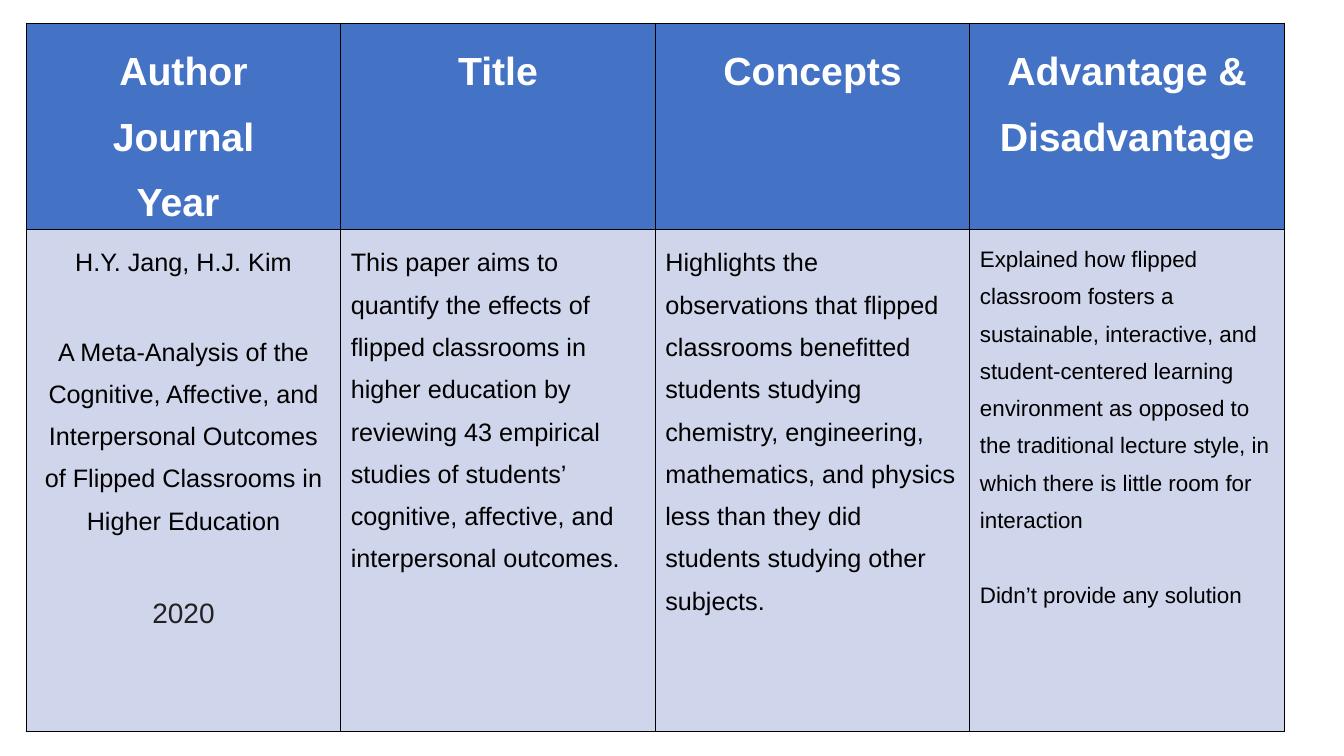
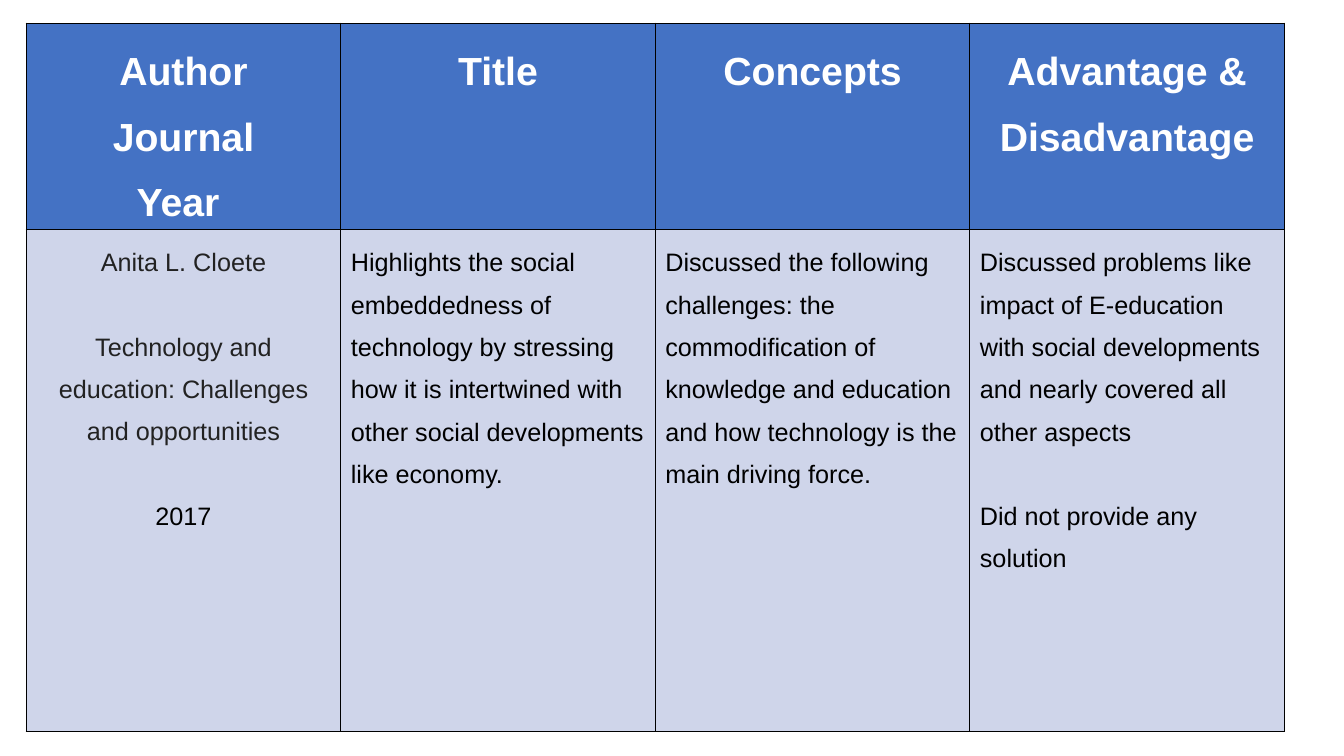
import dataclasses

import lxml.etree
import pptx
import pptx.dml.color
import pptx.enum.text
import pptx.oxml.ns
import pptx.util

Inches = pptx.util.Inches
Pt = pptx.util.Pt
qn = pptx.oxml.ns.qn

COLORS = {
    "header": "4472C4",
    "body": "CFD5EA",
    "line": "000000",
    "white": "FFFFFF",
    "black": "000000",
    "gray": "222222",
}
COLUMNS = 4
COLUMN_WIDTH = 3.12
ROW_HEIGHTS = (1.94, 4.98)
LINE_SPACING = 1.5
CENTER = pptx.enum.text.PP_ALIGN.CENTER
LEFT = pptx.enum.text.PP_ALIGN.LEFT


@dataclasses.dataclass(frozen=True)
class Para:
    text: str
    size: float = 18
    color: str = "black"
    before: float = 0


@dataclasses.dataclass(frozen=True)
class Review:
    source: list[Para]
    title: list[Para]
    concepts: list[Para]
    verdict: list[Para]


HEADERS = [["Author", "Journal", "Year "], ["Title"], ["Concepts"], ["Advantage &", "Disadvantage"]]

REVIEWS = [
    Review(
        source=[
            Para("H.Y. Jang, H.J. Kim"),
            Para(
                "A Meta-Analysis of the Cognitive, Affective, and Interpersonal Outcomes "
                "of Flipped Classrooms in Higher Education",
                before=33.5,
            ),
            Para("2020", size=20, color="gray", before=33.5),
        ],
        title=[
            Para(
                "This paper aims to quantify the effects of flipped classrooms in higher education "
                "by reviewing 43 empirical studies of students’ cognitive, affective, and "
                "interpersonal outcomes."
            )
        ],
        concepts=[
            Para(
                "Highlights the observations that flipped classrooms benefitted students studying "
                "chemistry, engineering, mathematics, and physics less than they did students "
                "studying other subjects."
            )
        ],
        verdict=[
            Para(
                "Explained how flipped classroom fosters a sustainable, interactive, and "
                "student-centered learning environment as opposed to the traditional lecture style, "
                "in which there is little room for interaction",
                size=16,
            ),
            Para("Didn’t provide any solution", size=16, before=26.5),
        ],
    ),
    Review(
        source=[
            Para("Anita L. Cloete", color="gray"),
            Para("Technology and education: Challenges and opportunities", color="gray", before=30),
            Para("2017", before=30),
        ],
        title=[
            Para(
                "Highlights the social embeddedness of technology by stressing how it is "
                "intertwined with other social developments like economy."
            )
        ],
        concepts=[
            Para("Discussed the following"),
            Para(
                "challenges: the commodification of knowledge and education and how technology "
                "is the main driving force."
            ),
        ],
        verdict=[
            Para(
                "Discussed problems like impact of E-education with social developments and "
                "nearly covered all other aspects"
            ),
            Para("Did not provide any solution", before=30),
        ],
    ),
]


def rgb(name: str) -> pptx.dml.color.RGBColor:
    return pptx.dml.color.RGBColor.from_string(COLORS[name])


def set_all(target: object, values: dict[str, object]) -> None:
    for name, value in values.items():
        setattr(target, name, value)


def add_borders(cell: pptx.table._Cell) -> None:
    tc_pr = cell._tc.get_or_add_tcPr()
    for i, side in enumerate(("lnL", "lnR", "lnT", "lnB")):
        ln = lxml.etree.Element(qn(f"a:{side}"), w=str(Pt(1)))
        fill = lxml.etree.SubElement(ln, qn("a:solidFill"))
        lxml.etree.SubElement(fill, qn("a:srgbClr"), val=COLORS["line"])
        tc_pr.insert(i, ln)


def fill_cell(
    cell: pptx.table._Cell,
    paras: list[Para],
    fill: str,
    align: pptx.enum.text.PP_ALIGN,
    bold: bool,
) -> None:
    cell.fill.solid()
    cell.fill.fore_color.rgb = rgb(fill)
    add_borders(cell)
    tf = cell.text_frame
    for i, para in enumerate(paras):
        p = tf.add_paragraph() if i else tf.paragraphs[0]
        set_all(p, {"alignment": align, "line_spacing": LINE_SPACING, "space_before": Pt(para.before)})
        r = p.add_run()
        r.text = para.text
        set_all(r.font, {"name": "Arial", "size": Pt(para.size), "bold": bold})
        r.font.color.rgb = rgb(para.color)


def add_review(prs: pptx.presentation.Presentation, review: Review) -> None:
    s = prs.slides.add_slide(prs.slide_layouts[6])
    table = s.shapes.add_table(
        len(ROW_HEIGHTS), COLUMNS, Inches(0.26), Inches(0.23),
        Inches(COLUMNS * COLUMN_WIDTH), Inches(sum(ROW_HEIGHTS)),
    ).table
    set_all(table, {"first_row": False, "horz_banding": False})
    for column in table.columns:
        column.width = Inches(COLUMN_WIDTH)
    for row, height in zip(table.rows, ROW_HEIGHTS):
        row.height = Inches(height)
    bodies = (review.source, review.title, review.concepts, review.verdict)
    for col, (lines, body) in enumerate(zip(HEADERS, bodies)):
        heading = [Para(line, size=28, color="white") for line in lines]
        fill_cell(table.cell(0, col), heading, "header", CENTER, True)
        fill_cell(table.cell(1, col), body, "body", LEFT if col else CENTER, False)


def main() -> None:
    prs = pptx.Presentation()
    set_all(prs, {"slide_width": Inches(13.33), "slide_height": Inches(7.5)})
    for review in REVIEWS:
        add_review(prs, review)
    prs.save("out.pptx")


if __name__ == "__main__":
    main()
